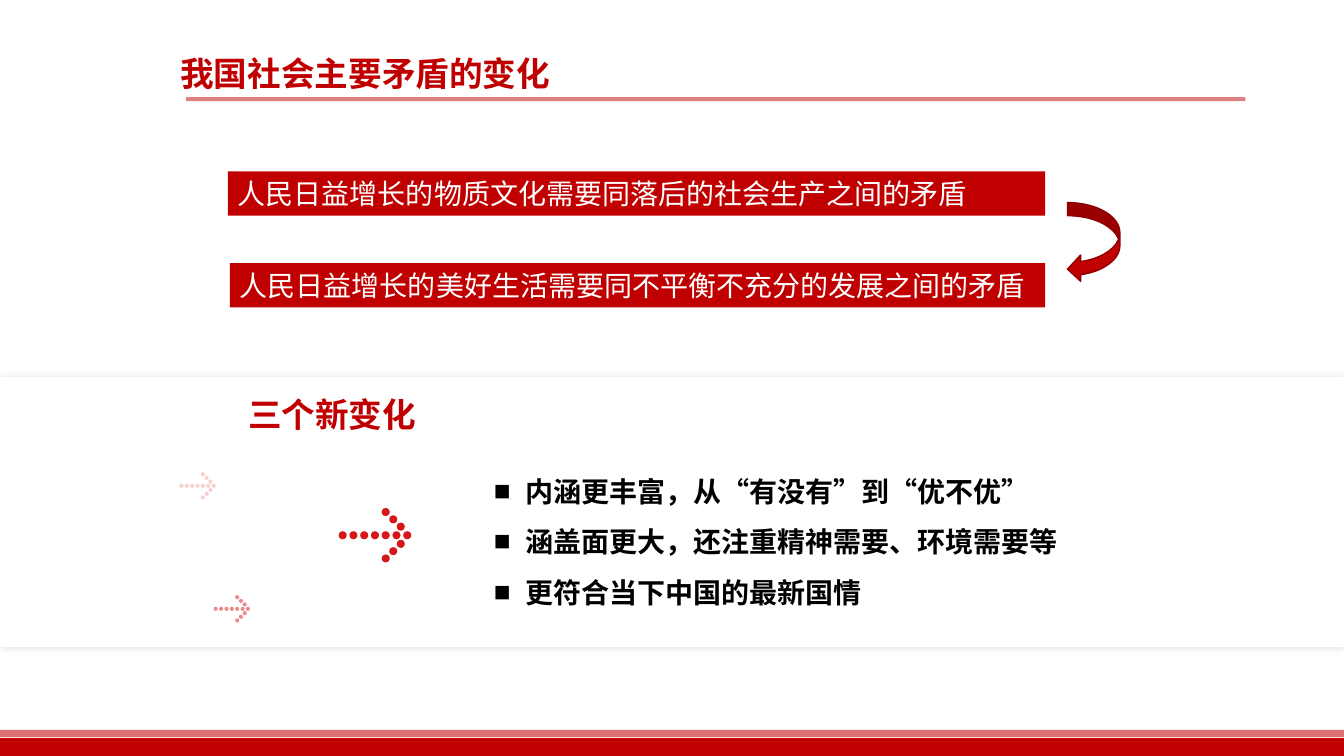
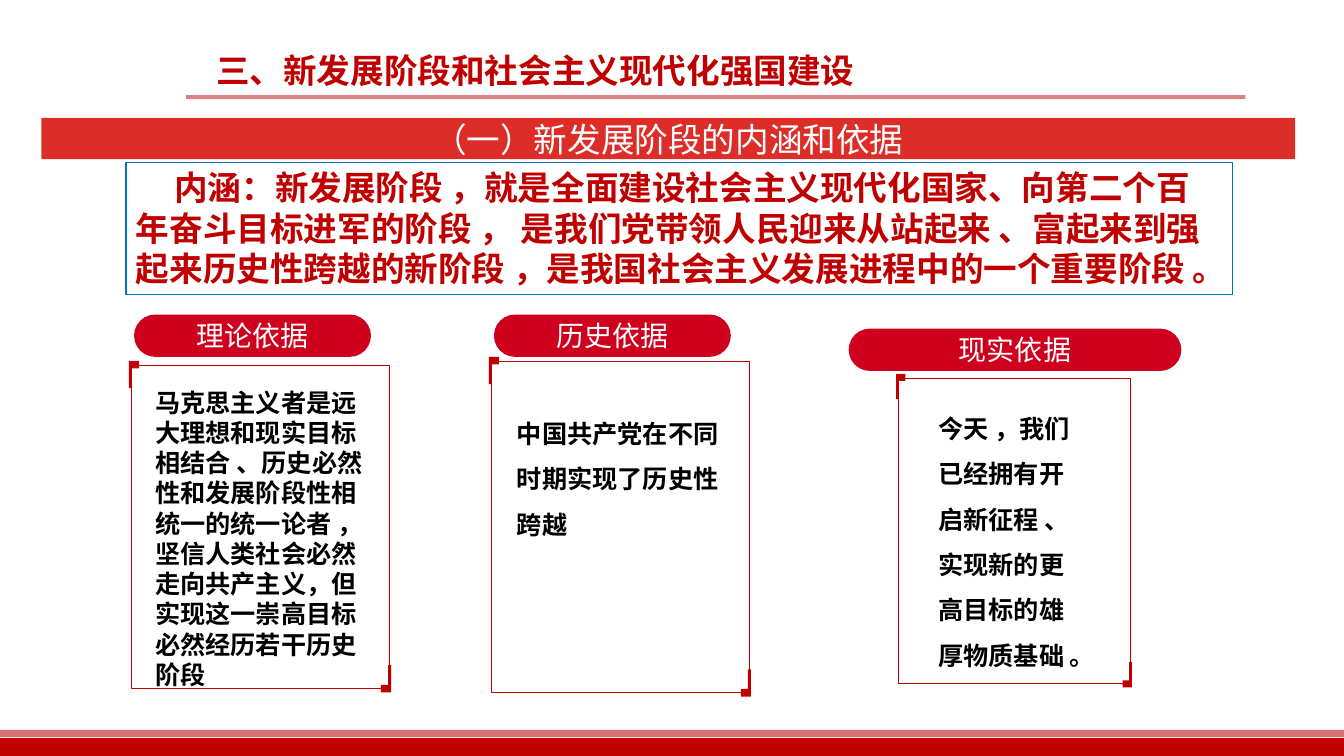
from dataclasses import dataclass

from lxml import etree
from pptx import Presentation
from pptx import util as u
from pptx.dml.color import RGBColor
from pptx.enum import shapes, text
from pptx.oxml import ns

SHAPE = shapes.MSO_SHAPE
ALIGN = text.PP_ALIGN
ANCHOR = text.MSO_ANCHOR


@dataclass(frozen=True)
class Theme:
    font: str = "Noto Sans CJK SC"
    red: str = "C00000"
    dark_red: str = "8E0000"
    dot_red: str = "D71619"
    pill_red: str = "CE001D"
    band_red: str = "DC2D29"
    blue: str = "0070C0"
    shadow: str = "595959"
    white: str = "FFFFFF"
    black: str = "000000"
    heading: int = 24
    label: int = 20
    body: int = 18


THEME = Theme()

# The slide is a grid of 40 columns by 30 rows
WIDTH, HEIGHT = u.Inches(13.333), u.Inches(7.5)
COLUMN, ROW = WIDTH / 40, HEIGHT / 30


def grid(left, top, width, height):
    return [round(length) for length in
            (left * COLUMN, top * ROW, width * COLUMN, height * ROW)]


def add_xml(parent, tag, **attributes):
    values = {name: str(value) for name, value in attributes.items()}
    return etree.SubElement(parent, ns.qn(tag), values)


# Text
def add_bullet(paragraph, character, hanging):
    properties = paragraph._p.get_or_add_pPr()
    properties.set("marL", str(hanging))
    properties.set("indent", str(-hanging))
    add_xml(properties, "a:buSzPct", val=60000)
    add_xml(properties, "a:buFont", typeface=THEME.font)
    add_xml(properties, "a:buChar", char=character)


def write(shape, content, size=THEME.body, color=THEME.black, bold=False,
          align=ALIGN.LEFT, anchor=ANCHOR.TOP, spacing=None, bullet=None,
          first_indent=0, margin=None, wrap=True):
    """Fill a shape with one paragraph for each line of content."""
    frame = shape.text_frame
    frame.auto_size = text.MSO_AUTO_SIZE.NONE
    frame.word_wrap = wrap
    frame.vertical_anchor = anchor
    if margin is not None:
        frame.margin_left = frame.margin_right = margin
        frame.margin_top = frame.margin_bottom = margin
    for index, line in enumerate(content.split("\n")):
        paragraph = frame.add_paragraph() if index else frame.paragraphs[0]
        paragraph.alignment = align
        if spacing:
            paragraph.line_spacing = spacing
        if bullet:
            add_bullet(paragraph, bullet, u.Inches(0.31))
        if first_indent:
            paragraph._p.get_or_add_pPr().set("indent", str(first_indent))
        run = paragraph.add_run()
        run.text = line
        run.font.size = u.Pt(size)
        run.font.bold = bold
        run.font.color.rgb = RGBColor.from_string(color)
        run.font.name = THEME.font
        add_xml(run._r.get_or_add_rPr(), "a:ea", typeface=THEME.font)


def add_text(slide, box, content, **text_format):
    write(slide.shapes.add_textbox(*grid(*box)), content, **text_format)


# Shapes
def paint(shape, fill=None, line=None, line_width=1, opacity=100):
    shape.shadow.inherit = False
    if fill:
        shape.fill.solid()
        shape.fill.fore_color.rgb = RGBColor.from_string(fill)
        if opacity < 100:
            color = shape.element.spPr.find(ns.qn("a:solidFill"))[0]
            add_xml(color, "a:alpha", val=opacity * 1000)
    else:
        shape.fill.background()
    if line:
        shape.line.color.rgb = RGBColor.from_string(line)
        shape.line.width = u.Pt(line_width)
    else:
        shape.line.fill.background()


def add_shape(parent, kind, box, **look):
    shape = parent.shapes.add_shape(kind, *grid(*box))
    paint(shape, **look)
    return shape


def add_glow(shape, color, opacity, blur):
    effects = shape.element.spPr.find(ns.qn("a:effectLst"))
    glow = add_xml(effects, "a:outerShdw", blurRad=u.Pt(blur), dist=0,
                   algn="ctr", rotWithShape=0)
    add_xml(add_xml(glow, "a:srgbClr", val=color), "a:alpha", val=opacity * 1000)


def add_dotted_arrow(slide, left, middle, scale=1.0, opacity=100):
    """Seven dots make the shaft, three on each side make the head."""
    pitch = 0.32 * scale
    dot = 0.75 * pitch
    shaft = [(step, 0) for step in range(7)]
    head = [(5.4 - 0.7 * step, side * (0.8 + 0.68 * step))
            for side in (1, -1) for step in range(3)]
    group = slide.shapes.add_group_shape()
    rows_per_column = COLUMN / ROW
    for across, down in shaft + head:
        top = middle + (down * pitch - dot / 2) * rows_per_column
        add_shape(group, SHAPE.OVAL,
                  (left + across * pitch, top, dot, dot * rows_per_column),
                  fill=THEME.dot_red, opacity=opacity)


def add_corner(slide, x, y, direction, scale):
    """Draw an angle bracket from (x, y) towards the inside of a frame."""
    arm, leg = 0.3 * scale, 1.08 * scale
    thin, thick = 0.09 * scale, 0.3 * scale
    outline = [(0, 0), (arm, 0), (arm, thick), (thin, thick), (thin, leg), (0, leg)]
    points = [(round((x + direction * across) * COLUMN),
               round((y + direction * down) * ROW)) for across, down in outline]
    builder = slide.shapes.build_freeform(*points[0])
    builder.add_line_segments(points[1:], close=True)
    paint(builder.convert_to_shape(), fill=THEME.red)


def add_basis(slide, label, pill, frame, body, content, spacing=None, scale=1.0):
    """Pill heading above a frame with two marked corners."""
    left, top, width, height = frame
    add_shape(slide, SHAPE.RECTANGLE, frame, line=THEME.red, line_width=0.25)
    add_corner(slide, left - 0.06, top - 0.16, 1, scale)
    add_corner(slide, left + width + 0.06, top + height + 0.16, -1, scale)
    heading = add_shape(slide, SHAPE.ROUNDED_RECTANGLE, pill, fill=THEME.pill_red)
    heading.adjustments[0] = 0.5
    write(heading, label, size=THEME.label, color=THEME.white,
          align=ALIGN.CENTER, anchor=ANCHOR.MIDDLE, margin=0)
    add_text(slide, body, content, bold=True, spacing=spacing)


# Shared slide parts
def add_footer_bands(slide):
    """Draw the bands once and hand them to the slide master."""
    master = slide.slide_layout.slide_master
    for box, opacity in (((0, 29.28, 40, 0.72), 100), ((0, 28.96, 40, 0.28), 56)):
        band = add_shape(slide, SHAPE.RECTANGLE, box, fill=THEME.red, opacity=opacity)
        master.shapes.element.append(band.element)


def add_titled_slide(presentation, title, box, rule_top, align=ALIGN.LEFT):
    slide = presentation.slides.add_slide(presentation.slide_layouts[5])
    holder = slide.shapes.title
    holder.left, holder.top, holder.width, holder.height = grid(*box)
    write(holder, title, size=THEME.heading, color=THEME.red, bold=True, align=align)
    add_shape(slide, SHAPE.RECTANGLE, (5.54, rule_top, 31.53, 0.16),
              fill=THEME.red, opacity=50)
    return slide


# Slides
def build_contradiction_slide(presentation):
    slide = add_titled_slide(presentation, "我国社会主要矛盾的变化",
                             (5.07, 1.88, 19.44, 2), 3.86)
    add_footer_bands(slide)

    # Earlier and present contradiction
    statements = (
        ((6.78, 6.8, 24.33, 1.76), "人民日益增长的物质文化需要同落后的社会生产之间的矛盾"),
        ((6.84, 10.44, 24.27, 1.76), "人民日益增长的美好生活需要同不平衡不充分的发展之间的矛盾"),
    )
    for box, statement in statements:
        bar = add_shape(slide, SHAPE.RECTANGLE, box, fill=THEME.red)
        write(bar, statement, size=THEME.label, color=THEME.white, align=ALIGN.JUSTIFY)
    add_shape(slide, SHAPE.CURVED_LEFT_ARROW, (31.77, 8.04, 1.56, 3.16),
              fill=THEME.red, line=THEME.dark_red)

    # Panel with the three changes
    panel = add_shape(slide, SHAPE.RECTANGLE, (0, 14.96, 40, 10.72), fill=THEME.white)
    add_glow(panel, THEME.shadow, opacity=20, blur=5)
    add_dotted_arrow(slide, 6.36, 24.16, scale=0.5, opacity=50)
    add_dotted_arrow(slide, 10.08, 21.24)
    add_dotted_arrow(slide, 5.34, 19.28, scale=0.5, opacity=20)
    add_text(slide, (14.4, 17.96, 22.74, 6.44),
             "内涵更丰富，从“有没有”到“优不优”\n"
             "涵盖面更大，还注重精神需要、环境需要等\n"
             "更符合当下中国的最新国情",
             size=THEME.label, bold=True, spacing=1.5, bullet="■")
    add_text(slide, (7.08, 15.44, 5.61, 2), "三个新变化", size=THEME.heading,
             color=THEME.red, bold=True, align=ALIGN.CENTER, wrap=False)


def build_stage_slide(presentation):
    slide = add_titled_slide(presentation, "三、新发展阶段和社会主义现代化强国建设",
                             (5.52, 1.76, 20.82, 2), 3.78, ALIGN.CENTER)

    # Section band and definition
    band = add_shape(slide, SHAPE.RECTANGLE, (1.23, 4.68, 37.32, 1.64),
                     fill=THEME.band_red)
    write(band, "（一）新发展阶段的内涵和依据", size=THEME.heading, color=THEME.white,
          align=ALIGN.CENTER, anchor=ANCHOR.MIDDLE)
    definition = add_shape(slide, SHAPE.RECTANGLE, (3.75, 6.44, 32.94, 5.24),
                           line=THEME.blue, line_width=0.75)
    write(definition,
          "内涵：新发展阶段 ，就是全面建设社会主义现代化国家、向第二个百年奋斗目标进军的阶段 ，"
          " 是我们党带领人民迎来从站起来 、富起来到强起来历史性跨越的新阶段 ，"
          "是我国社会主义发展进程中的一个重要阶段 。",
          size=THEME.heading, color=THEME.red, bold=True, first_indent=u.Inches(0.38))

    # Three bases
    add_basis(slide, "理论依据", pill=(3.99, 12.48, 7.05, 1.68),
              frame=(3.9, 14.48, 7.68, 12.84), body=(4.32, 15.16, 7.26, 12.52),
              content="马克思主义者是远大理想和现实目标相结合 、历史必然性和发展阶段性相统一的统一论者 ，"
                      " 坚信人类社会必然走向共产主义，但实现这一崇高目标必然经历若干历史阶段")
    add_basis(slide, "历史依据", pill=(14.7, 12.48, 7.05, 1.68),
              frame=(14.61, 14.32, 7.68, 13.16), body=(15.09, 15.8, 6.72, 5.84),
              content="中国共产党在不同时期实现了历史性跨越", spacing=1.5)
    add_basis(slide, "现实依据", pill=(25.26, 13.04, 9.9, 1.68),
              frame=(26.73, 15, 6.9, 12.12), body=(27.63, 15.6, 4.68, 11.32),
              content="今天 ，我们已经拥有开启新征程 、 实现新的更高目标的雄厚物质基础 。",
              spacing=1.5, scale=0.93)


def main():
    presentation = Presentation()
    presentation.slide_width, presentation.slide_height = WIDTH, HEIGHT
    build_contradiction_slide(presentation)
    build_stage_slide(presentation)
    presentation.save("out.pptx")


if __name__ == "__main__":
    main()
